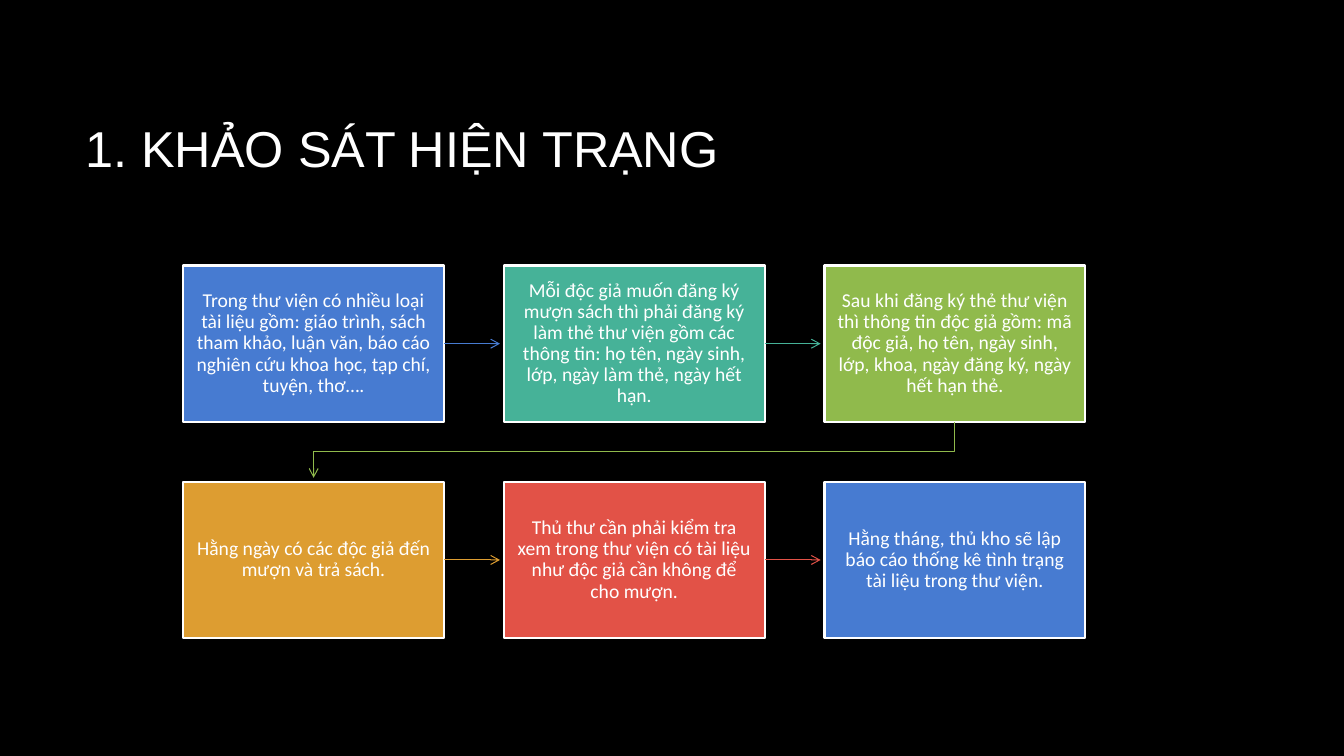
from dataclasses import dataclass

from pptx import Presentation
from pptx.dml.color import RGBColor
from pptx.enum.shapes import MSO_CONNECTOR, MSO_SHAPE
from pptx.enum.text import MSO_ANCHOR, MSO_AUTO_SIZE, PP_ALIGN
from pptx.oxml.ns import qn
from pptx.shapes.autoshape import Shape
from pptx.shapes.base import BaseShape
from pptx.shapes.shapetree import SlideShapes
from pptx.text.text import TextFrame
from pptx.util import Cm, Pt
from lxml.etree import SubElement

COLORS = {
    "black": "000000",
    "white": "FFFFFF",
    "blue": "477BD1",
    "teal": "46B298",
    "green": "90BA4C",
    "orange": "DD9D31",
    "red": "E25247",
}

COLUMNS = 3
LEFT, TOP = Cm(4.62), Cm(6.69)
BOX_W, BOX_H = Cm(6.57), Cm(3.94)
PITCH_X, PITCH_Y = Cm(8.08), Cm(5.45)
ARROW_GAP = Cm(0.1)


@dataclass
class Step:
    color: str
    text: str


STEPS = [
    Step("blue", "Trong thư viện có nhiều loại tài liệu gồm: giáo trình, sách tham khảo, "
                 "luận văn, báo cáo nghiên cứu khoa học, tạp chí, tuyện, thơ…."),
    Step("teal", "Mỗi độc giả muốn đăng ký mượn sách thì phải đăng ký làm thẻ thư viện gồm "
                 "các thông tin: họ tên, ngày sinh, lớp, ngày làm thẻ, ngày hết hạn."),
    Step("green", "Sau khi đăng ký thẻ thư viện thì thông tin độc giả gồm: mã độc giả, "
                  "họ tên, ngày sinh, lớp, khoa, ngày đăng ký, ngày hết hạn thẻ."),
    Step("orange", "Hằng ngày có các độc giả đến mượn và trả sách."),
    Step("red", "Thủ thư cần phải kiểm tra xem trong thư viện có tài liệu như độc giả cần "
                "không để cho mượn."),
    Step("blue", "Hằng tháng, thủ kho sẽ lập báo cáo thống kê tình trạng tài liệu trong "
                 "thư viện."),
]

TITLE_FONT = {"name": "Arial", "size": Pt(36)}
STEP_FONT = {"name": "Calibri", "size": Pt(14)}
STEP_FRAME = {
    "word_wrap": True,
    "vertical_anchor": MSO_ANCHOR.MIDDLE,
    "margin_left": Cm(0.33),
    "margin_right": Cm(0.33),
    "margin_top": Cm(0.33),
    "margin_bottom": Cm(0.33),
}
TITLE_FRAME = {
    "word_wrap": True,
    "auto_size": MSO_AUTO_SIZE.NONE,
    "vertical_anchor": MSO_ANCHOR.MIDDLE,
}


def rgb(name: str) -> RGBColor:
    return RGBColor.from_string(COLORS[name])


def set_all(target: object, values: dict) -> None:
    for name, value in values.items():
        setattr(target, name, value)


def write_text(tf: TextFrame, text: str, frame: dict, paragraph: dict, font: dict) -> None:
    set_all(tf, frame)
    p = tf.paragraphs[0]
    set_all(p, paragraph)
    r = p.add_run()
    r.text = text
    set_all(r.font, font)
    r.font.color.rgb = rgb("white")


def add_step(shapes: SlideShapes, index: int, step: Step) -> Shape:
    row, column = divmod(index, COLUMNS)
    sp = shapes.add_shape(MSO_SHAPE.RECTANGLE, LEFT + column * PITCH_X,
                          TOP + row * PITCH_Y, BOX_W, BOX_H)
    sp.shadow.inherit = False
    sp.fill.solid()
    sp.fill.fore_color.rgb = rgb(step.color)
    sp.line.color.rgb = rgb("white")
    sp.line.width = Pt(1.5)
    write_text(sp.text_frame, step.text, STEP_FRAME,
               {"alignment": PP_ALIGN.CENTER, "line_spacing": 0.9}, STEP_FONT)
    return sp


def style_arrow(arrow: BaseShape, color: str) -> None:
    arrow.line.color.rgb = rgb(color)
    arrow.line.width = Pt(0.75)
    sp_pr = arrow.element.spPr
    SubElement(sp_pr.find(qn("a:ln")), qn("a:tailEnd"), type="arrow")
    SubElement(sp_pr, qn("a:effectLst"))


def add_straight_arrow(shapes: SlideShapes, start: Shape, end: Shape) -> BaseShape:
    y = start.top + start.height // 2
    arrow = shapes.add_connector(MSO_CONNECTOR.STRAIGHT, start.left + start.width, y,
                                 end.left - ARROW_GAP, y)
    arrow.begin_connect(start, 3)
    return arrow


def add_row_arrow(shapes: SlideShapes, start: Shape, end: Shape) -> BaseShape:
    """Bent arrow from the end of one row to the start of the next."""
    x1, x2 = (sp.left + sp.width // 2 for sp in (start, end))
    y1 = start.top + start.height
    middle = (y1 + end.top) // 2
    builder = shapes.build_freeform(x1, y1)
    builder.add_line_segments([(x1, middle), (x2, middle), (x2, end.top - ARROW_GAP)],
                              close=False)
    arrow = builder.convert_to_shape()
    arrow.fill.background()
    return arrow


def main() -> None:
    prs = Presentation()
    prs.slide_width, prs.slide_height = Cm(33.87), Cm(19.05)
    slide = prs.slides.add_slide(prs.slide_layouts[5])
    slide.background.fill.solid()
    slide.background.fill.fore_color.rgb = rgb("black")

    title = slide.shapes.title
    set_all(title, {"left": Cm(1.9), "top": Cm(1.7), "width": Cm(28.15), "height": Cm(4.04)})
    write_text(title.text_frame, "1. KHẢO SÁT HIỆN TRẠNG", TITLE_FRAME,
               {"alignment": PP_ALIGN.LEFT}, TITLE_FONT)

    boxes = [add_step(slide.shapes, i, step) for i, step in enumerate(STEPS)]
    for step, start, end in zip(STEPS, boxes, boxes[1:]):
        add_arrow = add_straight_arrow if start.top == end.top else add_row_arrow
        style_arrow(add_arrow(slide.shapes, start, end), step.color)

    prs.save("out.pptx")


if __name__ == "__main__":
    main()
